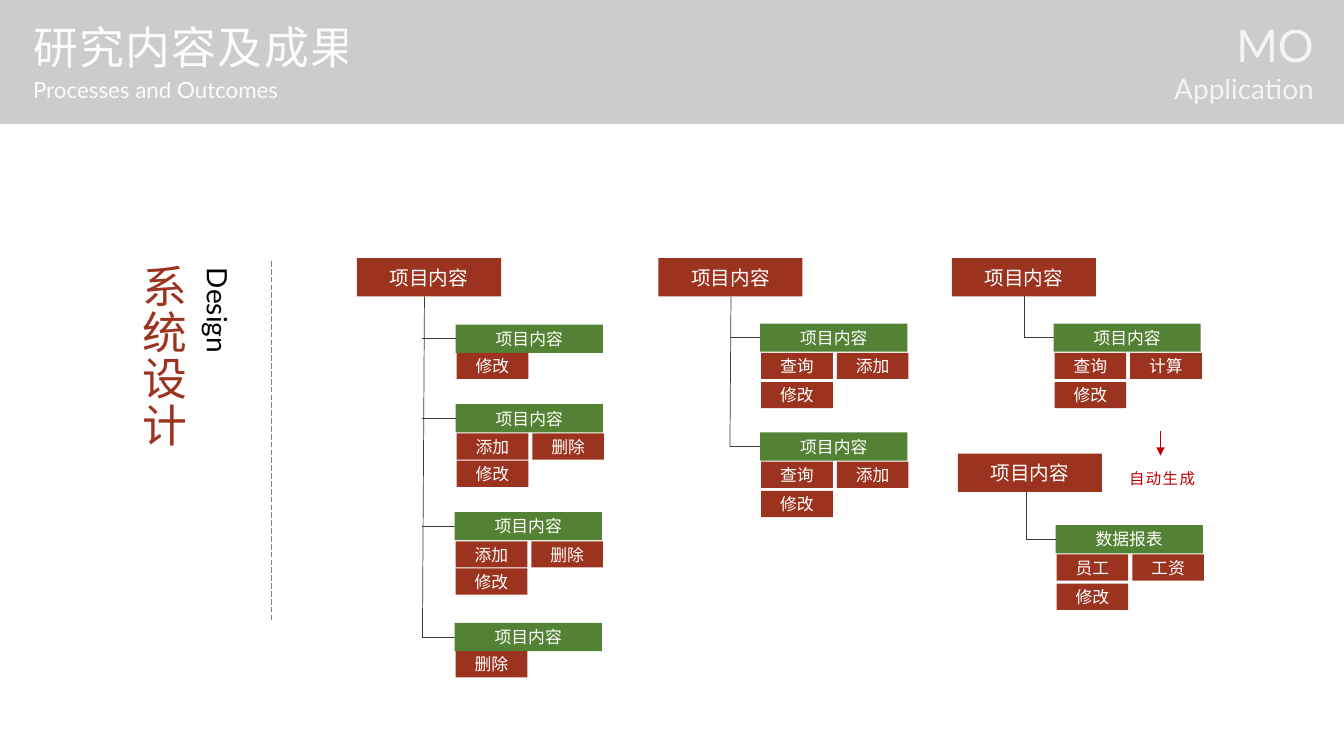
from lxml.etree import SubElement
from pptx import Presentation
from pptx.dml.color import RGBColor
from pptx.enum.dml import MSO_LINE
from pptx.enum.shapes import MSO_CONNECTOR, MSO_SHAPE
from pptx.enum.text import MSO_ANCHOR, MSO_AUTO_SIZE, PP_ALIGN
from pptx.oxml.ns import qn
from pptx.util import Pt

EMU_PER_PX = 9144
BLACK = RGBColor(0x00, 0x00, 0x00)
WHITE = RGBColor(0xFF, 0xFF, 0xFF)
BRICK = RGBColor(0x9C, 0x33, 0x1F)
GREEN = RGBColor(0x54, 0x82, 0x35)
RED = RGBColor(0xC0, 0x00, 0x00)
GRAY = RGBColor(0x80, 0x80, 0x80)
CHARCOAL = RGBColor(0x3B, 0x38, 0x38)

TITLE_W, TITLE_H = 143, 38
BRANCH_W, BRANCH_H = 146, 28
ITEM_W, ITEM_H, ITEM_PITCH = 71, 26, 75

TREES = [
    {"title": (354, 256), "trunk": (421, 419), "row_pitch": 27, "branches": [
        (452, 322, "项目内容", ["修改"]),
        (452, 401, "项目内容", ["添加", "删除", "修改"]),
        (451, 508, "项目内容", ["添加", "删除", "修改"]),
        (451, 618, "项目内容", ["删除"]),
    ]},
    {"title": (653, 256), "trunk": (725, 724), "row_pitch": 29, "branches": [
        (754, 321, "项目内容", ["查询", "添加", "修改"]),
        (754, 429, "项目内容", ["查询", "添加", "修改"]),
    ]},
    {"title": (944, 256), "trunk": (1016, 1016), "row_pitch": 29, "branches": [
        (1045, 321, "项目内容", ["查询", "计算", "修改"]),
    ]},
    {"title": (950, 450), "trunk": (1018, 1018), "row_pitch": 29, "branches": [
        (1047, 521, "数据报表", ["员工", "工资", "修改"]),
    ]},
]


def px(*lengths):
    return [n * EMU_PER_PX for n in lengths]


def set_alpha(sp, percent):
    for color in sp.element.iter(qn("a:srgbClr")):
        SubElement(color, qn("a:alpha"), val=str(percent * 1000))


def add_run(p, text, size, color, spacing=0):
    r = p.add_run()
    r.text = text
    for name, value in {"name": "Lato", "size": Pt(size)}.items():
        setattr(r.font, name, value)
    r.font.color.rgb = color
    if spacing:
        r.font.element.set("spc", str(spacing * 100)) if hasattr(r.font, "element") else \
            p._p.findall(qn("a:r"))[-1].get_or_add_rPr().set("spc", str(spacing * 100))


def add_box(s, x, y, w, h, color, text="", size=12):
    sp = s.shapes.add_shape(MSO_SHAPE.RECTANGLE, *px(x, y, w, h))
    sp.shadow.inherit = False
    sp.fill.solid()
    sp.fill.fore_color.rgb = color
    sp.line.fill.background()
    if text:
        sp.text_frame.vertical_anchor = MSO_ANCHOR.MIDDLE
        p = sp.text_frame.paragraphs[0]
        p.alignment = PP_ALIGN.CENTER
        add_run(p, text, size, WHITE)
    return sp


def add_label(s, x, y, w, h, lines, color, spacing=0, alpha=100, vertical=False, **paragraph_format):
    sp = s.shapes.add_textbox(*px(x, y, w, h))
    tf = sp.text_frame
    for name, value in {"word_wrap": False, "auto_size": MSO_AUTO_SIZE.SHAPE_TO_FIT_TEXT}.items():
        setattr(tf, name, value)
    if vertical:
        sp.element.txBody.find(qn("a:bodyPr")).set("vert", "eaVert")
    for i, (text, size) in enumerate(lines):
        p = tf.add_paragraph() if i else tf.paragraphs[0]
        for name, value in paragraph_format.items():
            setattr(p, name, value)
        add_run(p, text, size, color, spacing)
    if alpha < 100:
        set_alpha(sp, alpha)


def add_line(s, x1, y1, x2, y2, color=CHARCOAL, dash=None, arrow=False):
    line = s.shapes.add_connector(MSO_CONNECTOR.STRAIGHT, *px(x1, y1, x2, y2))
    line.line.color.rgb = color
    for name, value in {"width": Pt(0.5), "dash_style": dash}.items():
        setattr(line.line, name, value)
    if arrow:
        SubElement(line.line._get_or_add_ln(), qn("a:tailEnd"), type="triangle")
    SubElement(line.element.spPr, qn("a:effectLst"))


def add_branch(s, x, y, heading, items, row_pitch):
    add_box(s, x, y, BRANCH_W, BRANCH_H, GREEN, heading)
    first_row = y + BRANCH_H + (len(items) > 1)
    for i, item in enumerate(items):
        row, col = divmod(i, 2)
        add_box(s, x + 1 + col * ITEM_PITCH, first_row + row * row_pitch,
                ITEM_W, ITEM_H, BRICK, item)


def add_tree(s, title, trunk, row_pitch, branches):
    x, y = title
    trunk_top, trunk_bottom = trunk
    for left, top, heading, items in branches:
        middle = top + BRANCH_H // 2
        add_line(s, trunk_bottom, middle, left, middle)
        add_branch(s, left, top, heading, items, row_pitch)
    add_line(s, trunk_top, y + TITLE_H, trunk_bottom, middle)
    add_box(s, x, y, TITLE_W, TITLE_H, BRICK, "项目内容", 14)


def main():
    prs = Presentation()
    prs.slide_width, prs.slide_height = px(1333, 750)
    s = prs.slides.add_slide(prs.slide_layouts[6])

    set_alpha(add_box(s, 0, 0, 1333, 123, BLACK), 20)
    add_label(s, 1152, 13, 161, 98, [("MO", 32), ("Application", 20)], WHITE,
              alpha=80, alignment=PP_ALIGN.RIGHT)
    add_label(s, 23, 15, 344, 64, [("研究内容及成果", 32)], WHITE, spacing=1, alpha=95)
    add_label(s, 23, 71, 266, 37, [("Processes and Outcomes", 16)], WHITE, alpha=95)

    add_label(s, 120, 252, 74, 195, [("系统设计", 32)], BRICK, spacing=1, vertical=True)
    add_label(s, 184, 256, 54, 103, [("Design", 20)], BLACK, vertical=True)
    add_line(s, 269, 259, 269, 616, GRAY, MSO_LINE.LONG_DASH)

    for tree in TREES:
        add_tree(s, **tree)

    add_label(s, 1110, 451, 88, 35, [("自动生成", 11)], RED, spacing=1, line_spacing=Pt(20))
    add_line(s, 1151, 428, 1151, 452, RED, arrow=True)
    prs.save("out.pptx")


if __name__ == "__main__":
    main()
